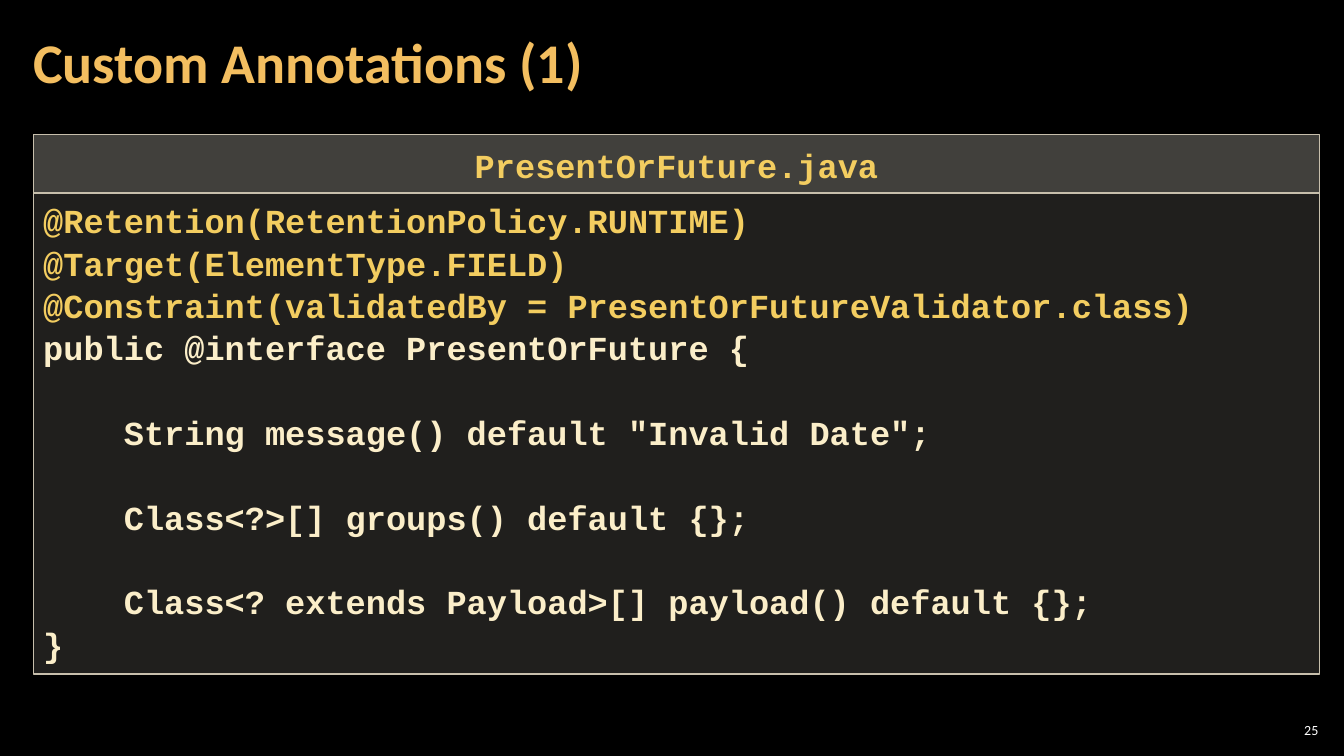
from dataclasses import dataclass

from lxml.etree import SubElement
from pptx import Presentation
from pptx.dml.color import RGBColor
from pptx.enum.shapes import MSO_SHAPE as Preset
from pptx.enum.text import MSO_ANCHOR as Anchor, PP_ALIGN as Align
from pptx.oxml.ns import qn
from pptx.slide import Slide
from pptx.text.text import TextFrame
from pptx.util import Pt

BLACK, WHITE = "000000", "FFFFFF"
TITLE_GOLD, CODE_GOLD, CREAM = "F3BE60", "F3CD60", "FBEEC9"
PANEL, BORDER = "D9D5C7", "C7BFAC"
LINE_HEIGHT = 30.24  # one line of code
TAB = 57.6           # four monospaced characters


@dataclass
class Box:
    left: float
    top: float
    width: float
    height: float
    inset_x: float
    inset_y: float
    anchor: Anchor = Anchor.MIDDLE
    opacity: int = 0  # percent; 0 means a plain text box


@dataclass
class Line:
    text: str
    color: str
    size: float = 24
    font: str = "Courier New"
    bold: bool = True
    align: Align = Align.LEFT
    spacing: float | Pt = Pt(LINE_HEIGHT)
    tabs: int = 0
    blank_before: int = 0


def rgb(color: str) -> RGBColor:
    return RGBColor.from_string(color)


def write_lines(frame: TextFrame, lines: list[Line]) -> None:
    for index, line in enumerate(lines):
        paragraph = frame.add_paragraph() if index else frame.paragraphs[0]
        paragraph.text = line.text
        paragraph.alignment = line.align
        paragraph.line_spacing = line.spacing
        paragraph.space_before = Pt(line.blank_before * LINE_HEIGHT)
        if line.tabs:
            properties = paragraph._p.get_or_add_pPr()
            properties.set("marL", str(Pt(line.tabs * TAB)))
            properties.set("indent", "0")
        font = paragraph.font
        font.name, font.size, font.bold = line.font, Pt(line.size), line.bold
        font.color.rgb = rgb(line.color)


def draw_box(slide: Slide, box: Box, lines: list[Line]) -> None:
    place = [Pt(v) for v in (box.left, box.top, box.width, box.height)]
    if box.opacity:
        shape = slide.shapes.add_shape(Preset.RECTANGLE, *place)
        shape.shadow.inherit = False
        shape.fill.solid()
        shape.fill.fore_color.rgb = rgb(PANEL)
        fill_color = shape._element.spPr.find(qn("a:solidFill"))[0]
        SubElement(fill_color, qn("a:alpha"), val=str(box.opacity * 1000))
        shape.line.color.rgb = rgb(BORDER)
        shape.line.width = Pt(1)
    else:
        shape = slide.shapes.add_textbox(*place)
    frame = shape.text_frame
    frame.word_wrap = True
    frame.vertical_anchor = box.anchor
    frame.margin_left = frame.margin_right = Pt(box.inset_x)
    frame.margin_top = frame.margin_bottom = Pt(box.inset_y)
    write_lines(frame, lines)


def main() -> None:
    deck = Presentation()
    deck.slide_width, deck.slide_height = Pt(960), Pt(540)
    slide = deck.slides.add_slide(deck.slide_layouts[6])
    slide.background.fill.solid()
    slide.background.fill.fore_color.rgb = rgb(BLACK)

    # Slide number and title
    draw_box(slide, Box(910.8, 514.1, 33.8, 15.1, 2.9, 2.9),
             [Line("25", WHITE, 10, "Calibri", False, Align.RIGHT, 1.0)])
    draw_box(slide, Box(15.1, 2.9, 753.8, 87.1, 8.64, 2.9),
             [Line("Custom Annotations (1)", TITLE_GOLD, 40, "Calibri", spacing=0.9)])

    # Code panel
    annotations = [
        "@Retention(RetentionPolicy.RUNTIME)",
        "@Target(ElementType.FIELD)",
        "@Constraint(validatedBy = PresentOrFutureValidator.class)",
    ]
    members = [
        'String message() default "Invalid Date";',
        "Class<?>[] groups() default {};",
        "Class<? extends Payload>[] payload() default {};",
    ]
    code = [
        *(Line(text, CODE_GOLD) for text in annotations),
        Line("public @interface PresentOrFuture {", CREAM),
        *(Line(text, CREAM, tabs=1, blank_before=1) for text in members),
        Line("}", CREAM),
    ]
    draw_box(slide, Box(23.8, 138, 918.7, 343.4, 7.2, 3.6, Anchor.TOP, 15), code)

    # File name bar
    draw_box(slide, Box(23.8, 96, 918.7, 41.8, 7.2, 5.76, opacity=30),
             [Line("PresentOrFuture.java", CODE_GOLD, align=Align.CENTER)])

    deck.save("out.pptx")


if __name__ == "__main__":
    main()
